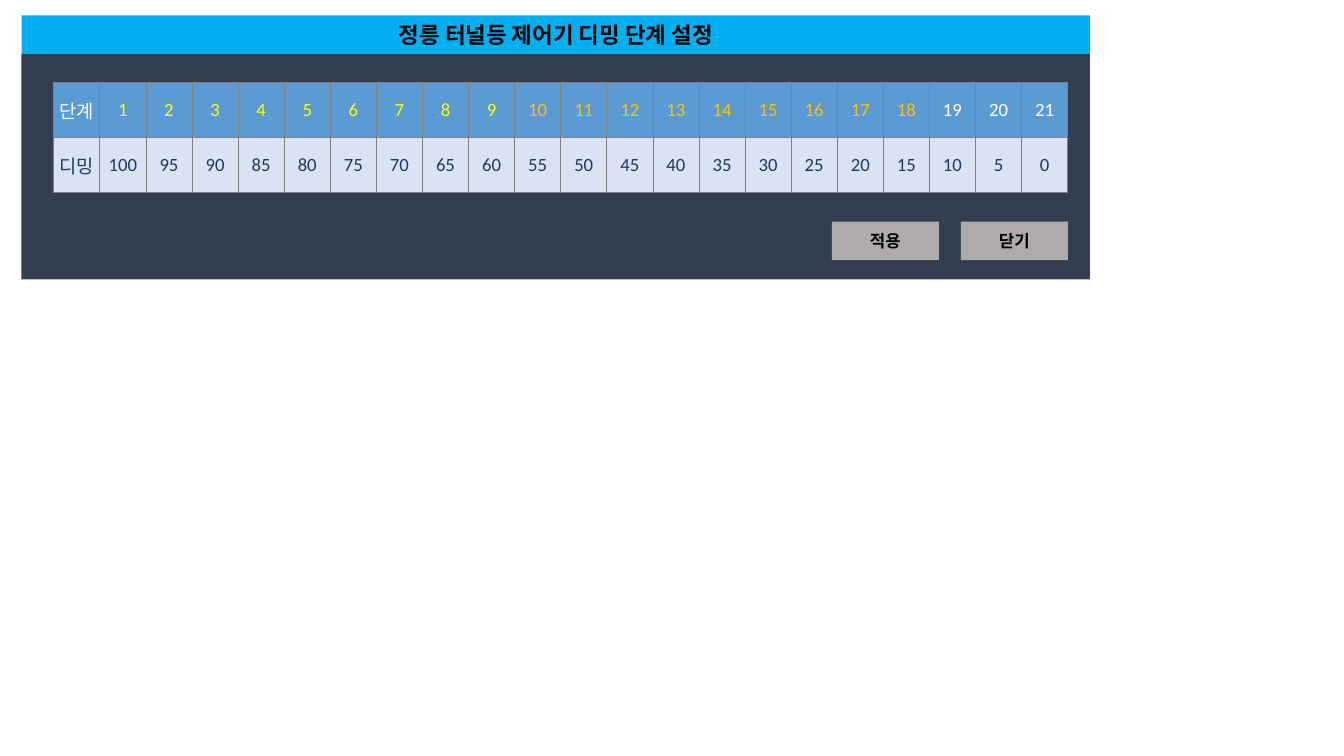
from lxml.etree import SubElement
from pptx import Presentation
from pptx.dml.color import RGBColor
from pptx.enum.shapes import MSO_SHAPE as Shape
from pptx.enum.text import MSO_ANCHOR as Anchor, MSO_AUTO_SIZE as AutoSize, PP_ALIGN as Align
from pptx.oxml.ns import qn
from pptx.util import Pt

PX = 9144  # EMU per px, 100 px to the inch
FONT = "Calibri"

BLACK = RGBColor(0x00, 0x00, 0x00)
WHITE = RGBColor(0xFF, 0xFF, 0xFF)
YELLOW = RGBColor(0xFF, 0xFF, 0x00)
AMBER = RGBColor(0xFF, 0xC0, 0x00)
NAVY = RGBColor(0x20, 0x38, 0x64)
SLATE = RGBColor(0x33, 0x3F, 0x50)
SKY = RGBColor(0x00, 0xB0, 0xF0)
BLUE = RGBColor(0x5B, 0x9B, 0xD5)
PALE_BLUE = RGBColor(0xDA, 0xE3, 0xF3)
BUTTON_GRAY = RGBColor(0xAF, 0xAB, 0xAB)
BORDER_GRAY = RGBColor(0x80, 0x80, 0x80)

STEPS = range(1, 22)


def px(value):
    return value * PX


def paint(shape, color):
    shape.fill.solid()
    shape.fill.fore_color.rgb = color


def write(frame, text, size, color, bold=False):
    frame.text = text
    para = frame.paragraphs[0]
    para.alignment = Align.CENTER
    para.font.name = FONT
    para.font.size = Pt(size)
    para.font.bold = bold
    para.font.color.rgb = color


def set_title(page, text, left, top, width, height):
    title = page.shapes.title
    title.left, title.top = px(left), px(top)
    title.width, title.height = px(width), px(height)
    paint(title, SKY)
    frame = title.text_frame
    frame.auto_size = AutoSize.NONE
    frame.vertical_anchor = Anchor.MIDDLE
    write(frame, text, 24, BLACK, bold=True)


def add_box(page, left, top, width, height, color):
    box = page.shapes.add_shape(Shape.RECTANGLE, px(left), px(top), px(width), px(height))
    box.shadow.inherit = False
    box.line.fill.background()
    paint(box, color)
    return box


def add_button(page, text, left):
    button = add_box(page, left, 330, 159, 57, BUTTON_GRAY)
    button.text_frame.vertical_anchor = Anchor.MIDDLE
    write(button.text_frame, text, 18, BLACK, bold=True)


def add_borders(cell):
    properties = cell._tc.get_or_add_tcPr()
    for side in ("a:lnL", "a:lnR", "a:lnT", "a:lnB"):
        line = SubElement(properties, qn(side), w=str(Pt(1)))
        fill = SubElement(line, qn("a:solidFill"))
        SubElement(fill, qn("a:srgbClr"), val=str(BORDER_GRAY))


def fill_cell(cell, text, color, background):
    cell.margin_left = cell.margin_top = cell.margin_right = px(1)
    cell.margin_bottom = 0
    cell.vertical_anchor = Anchor.MIDDLE
    add_borders(cell)
    paint(cell, background)
    write(cell.text_frame, text, 20, color)


def step_color(step):
    if step <= 9:
        return YELLOW
    return AMBER if step <= 18 else WHITE


def add_dimming_table(page, left, top, width, height):
    count = len(STEPS) + 1
    table = page.shapes.add_table(2, count, px(left), px(top), px(width), px(height)).table
    table.first_row = table.horz_banding = False
    for column in table.columns:
        column.width = px(width) // count
    for row in table.rows:
        row.height = px(height) // 2

    fill_cell(table.cell(0, 0), "단계", WHITE, BLUE)
    fill_cell(table.cell(1, 0), "디밍", NAVY, PALE_BLUE)
    for step in STEPS:
        fill_cell(table.cell(0, step), str(step), step_color(step), BLUE)
        fill_cell(table.cell(1, step), str(105 - 5 * step), NAVY, PALE_BLUE)


def main():
    deck = Presentation()
    deck.slide_width, deck.slide_height = px(2000), px(1125)
    page = deck.slides.add_slide(deck.slide_layouts[5])

    # Dialog title bar and body
    set_title(page, "정릉 터널등 제어기 디밍 단계 설정", 32, 23, 1590, 57)
    add_box(page, 32, 80, 1590, 336, SLATE)

    # Buttons
    add_button(page, "닫기", 1430)
    add_button(page, "적용", 1238)

    # Dimming level for each step
    add_dimming_table(page, 80, 122, 1509, 165)

    deck.save("out.pptx")


if __name__ == "__main__":
    main()
